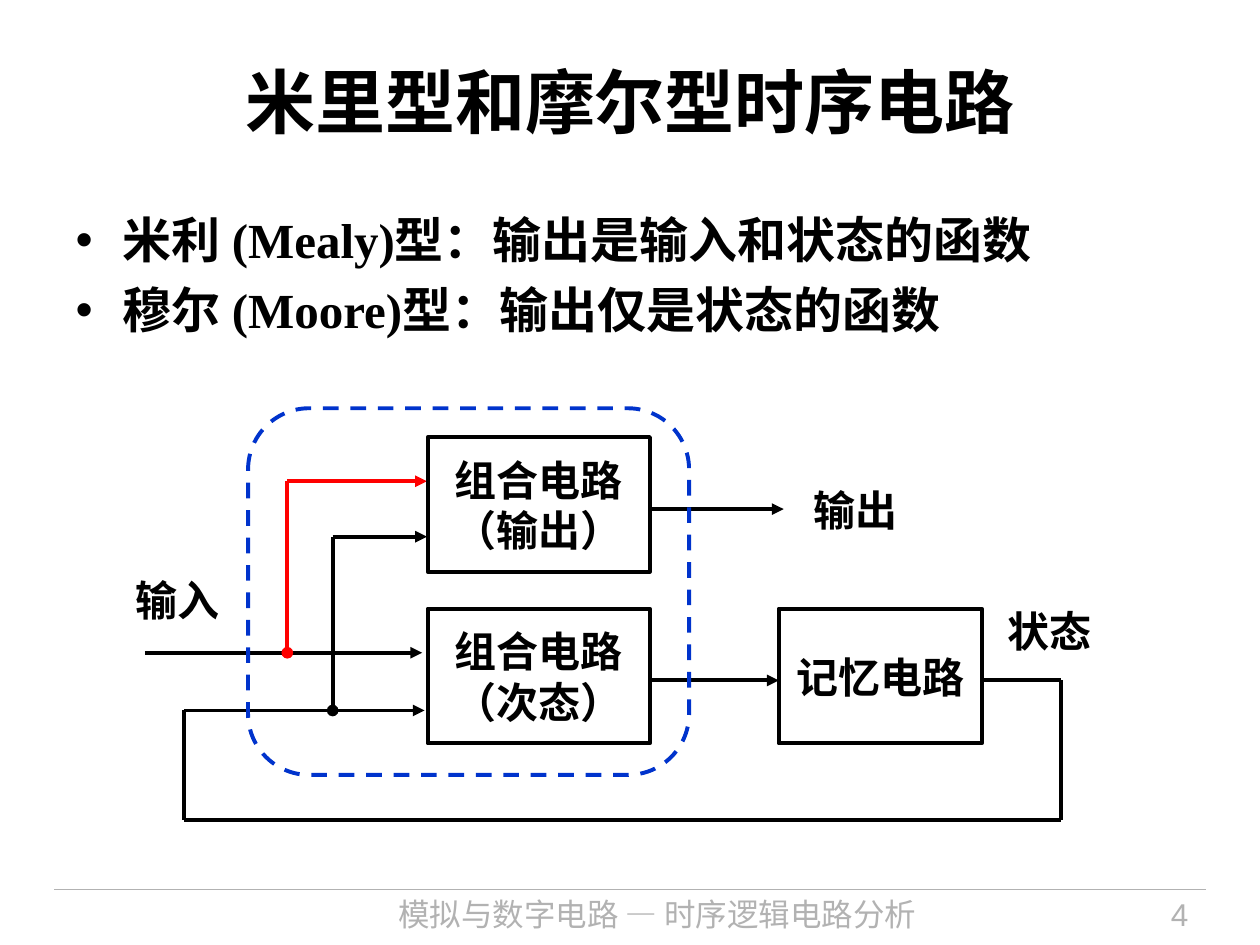
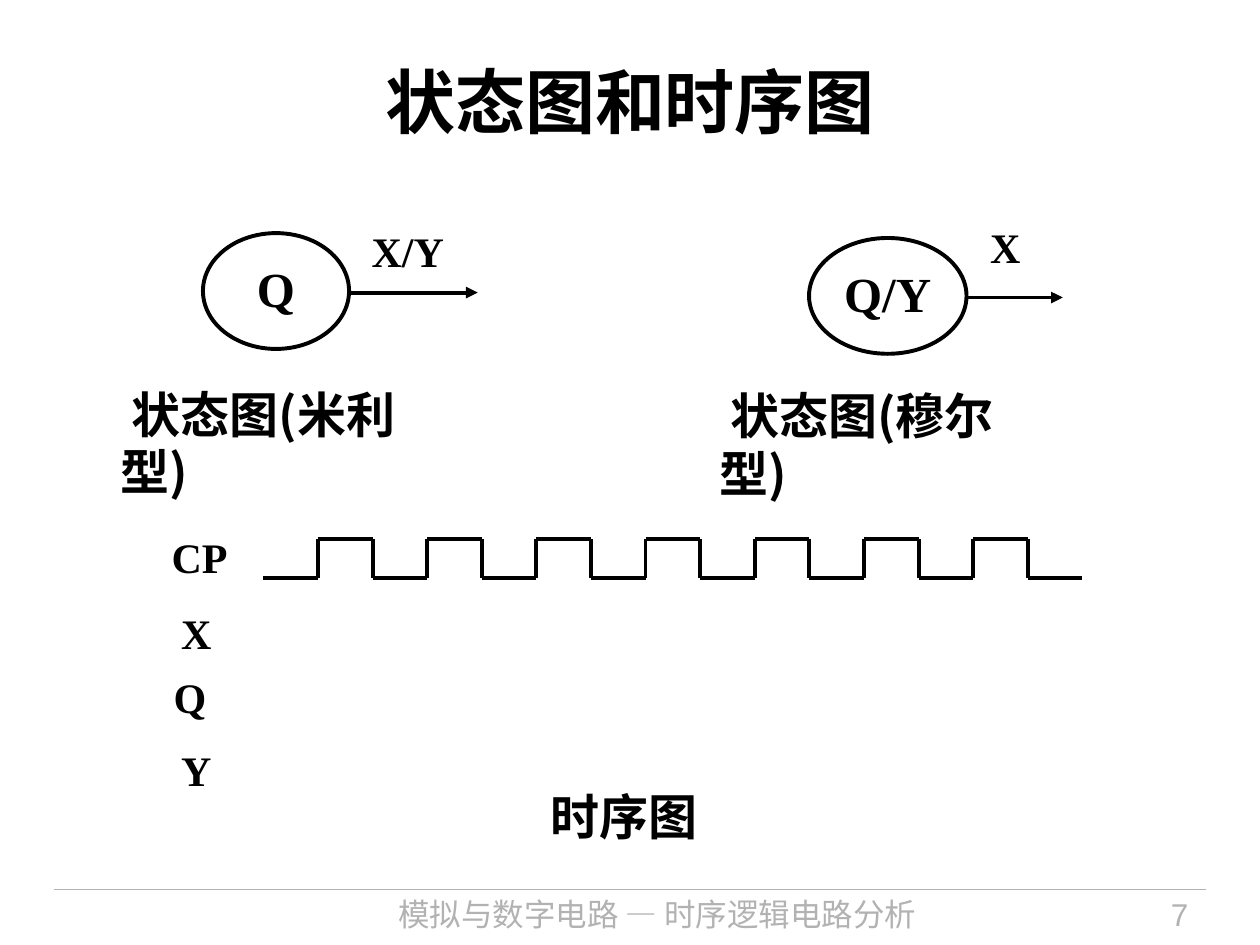
from collections import namedtuple

from lxml.etree import SubElement
from pptx import Presentation
from pptx.dml.color import RGBColor
from pptx.enum.dml import MSO_LINE
from pptx.enum.shapes import MSO_CONNECTOR, MSO_SHAPE
from pptx.enum.text import MSO_ANCHOR, MSO_AUTO_SIZE, PP_ALIGN
from pptx.oxml.ns import qn
from pptx.util import Pt

COLORS = {"ink": "000000", "paper": "FFFFFF", "muted": "B2B2B2", "mealy": "FF0000", "frame": "0033CC"}
SERIF, SANS, CJK = "Times New Roman", "Arial", "Noto Sans CJK SC"
STROKE = 2.24
Box = namedtuple("Box", "left top width height")


def color(name):
    """Return the named palette colour."""
    return RGBColor.from_string(COLORS[name])


def place(shape, box):
    """Move and size a shape to a box in points."""
    shape.left, shape.top, shape.width, shape.height = (Pt(value) for value in box)


def within(box, left, top, width, height):
    """Return a box offset from the corner of another box."""
    return Box(box.left + left, box.top + top, width, height)


def write(frame, text, size=24, font=SERIF, ink="ink", bold=True, align=PP_ALIGN.LEFT,
          anchor=MSO_ANCHOR.TOP, wrap=False, insets=(7.2, 3.6, 7.2, 3.6), after=0):
    """Fill a text frame; each line is a string or a list of (text, font) spans."""
    frame.auto_size = MSO_AUTO_SIZE.NONE
    frame.word_wrap = wrap
    frame.vertical_anchor = anchor
    frame.margin_left, frame.margin_top, frame.margin_right, frame.margin_bottom = map(Pt, insets)
    lines = [text] if isinstance(text, str) else text
    for index, line in enumerate(lines):
        para = frame.add_paragraph() if index else frame.paragraphs[0]
        para.alignment = align
        para.line_spacing = Pt(round(size * 1.19))
        para.space_before, para.space_after = Pt(0), Pt(after)
        for words, face in [(line, font)] if isinstance(line, str) else line:
            span = para.add_run()
            span.text = words
            span.font.size, span.font.bold = Pt(size), bold
            span.font.color.rgb = color(ink)
            span.font.name = face
            SubElement(span._r.get_or_add_rPr(), qn("a:ea"), typeface=CJK)


def add_label(page, box, text, **style):
    """Add a text box."""
    label = page.shapes.add_textbox(*(Pt(value) for value in box))
    write(label.text_frame, text, **style)


def add_outline(page, kind, box, fill=None, ink="ink"):
    """Add an outlined shape, hollow unless a fill is named."""
    shape = page.shapes.add_shape(kind, *(Pt(value) for value in box))
    shape.shadow.inherit = False
    if fill:
        shape.fill.solid()
        shape.fill.fore_color.rgb = color(fill)
    else:
        shape.fill.background()
    shape.line.color.rgb = color(ink)
    shape.line.width = Pt(STROKE)
    return shape


def add_block(page, box, lines, fill=None):
    """Add a circuit block with centred text."""
    block = add_outline(page, MSO_SHAPE.RECTANGLE, box, fill)
    write(block.text_frame, lines, font=SANS, align=PP_ALIGN.CENTER,
          anchor=MSO_ANCHOR.MIDDLE, insets=(0, 0, 0, 0))


def add_wire(page, box, start, finish, end=None, ink="ink", width=STROKE):
    """Draw a line between two points relative to a box."""
    (x1, y1), (x2, y2) = start, finish
    wire = page.shapes.add_connector(
        MSO_CONNECTOR.STRAIGHT, Pt(box.left + x1), Pt(box.top + y1), Pt(box.left + x2), Pt(box.top + y2))
    wire.line.color.rgb = color(ink)
    wire.line.width = Pt(width)
    properties = wire._element.spPr
    SubElement(properties, qn("a:effectLst"))
    if end:
        SubElement(properties.find(qn("a:ln")), qn("a:tailEnd"), type=end)


def add_footer(page, box, number):
    """Draw the footer rule, course name and page number."""
    add_wire(page, box, (0, 0), (box.width, 0), ink="muted", width=0.74)
    style = dict(size=18, ink="muted", bold=False, wrap=True)
    add_label(page, within(box, 141.8, 0, 405.4, box.height), "模拟与数字电路 — 时序逻辑电路分析",
              font=CJK, align=PP_ALIGN.CENTER, **style)
    add_label(page, within(box, 559.4, 0, 95.8, box.height), str(number),
              font=SANS, align=PP_ALIGN.RIGHT, **style)


def add_page(deck, layout, title, number):
    """Add a slide with its title and footer."""
    page = deck.slides.add_slide(deck.slide_layouts[layout])
    place(page.shapes.title, Box(36, 12.2, 648, 90))
    write(page.shapes.title.text_frame, title, size=40, align=PP_ALIGN.CENTER,
          anchor=MSO_ANCHOR.MIDDLE, wrap=True)
    add_footer(page, Box(31, 508.3, 658, 31.7), number)
    return page


def fill_list(page, box, lines):
    """Fill the body placeholder with a bulleted list."""
    body = page.placeholders[1]
    place(body, box)
    write(body.text_frame, lines, size=28, wrap=True, after=7, insets=(7.2, 6, 7.2, 3.6))
    for para in body.text_frame.paragraphs:
        props = para._p.get_or_add_pPr()
        props.set("marL", str(Pt(27)))
        props.set("indent", str(-Pt(27)))
        bullet_color = SubElement(props, qn("a:buClr"))
        SubElement(bullet_color, qn("a:srgbClr"), val=COLORS["ink"])
        SubElement(props, qn("a:buFont"), typeface=SANS)
        SubElement(props, qn("a:buChar"), char="•")


def draw_circuit(page, box):
    """Draw the block diagram of a sequential circuit with feedback."""
    input_y, state_y, memory_y, bottom = 140, 173, 155.8, 235.7
    mealy_x, moore_x, left, right = 96.2, 122.1, 37.1, 538.2
    mealy_y, moore_y, output_y, entry = 42, 73.7, 57.9, 176
    wires = [
        ((14.8, input_y), (173.2, input_y), "triangle", "ink"),
        ((left, state_y), (174.6, state_y), "triangle", "ink"),
        ((moore_x, moore_y), (entry, moore_y), "triangle", "ink"),
        ((moore_x, moore_y), (moore_x, state_y), "oval", "ink"),
        ((mealy_x, mealy_y), (entry, mealy_y), "triangle", "mealy"),
        ((mealy_x, mealy_y), (mealy_x, input_y), "oval", "mealy"),
        ((300.6, memory_y), (377, memory_y), "triangle", "ink"),
        ((493, memory_y), (right, memory_y), None, "ink"),
        ((right, memory_y), (right, bottom), None, "ink"),
        ((left, bottom), (right, bottom), None, "ink"),
        ((300.6, output_y), (379.8, output_y), "triangle", "ink"),
        ((left, state_y), (left, bottom), None, "ink"),
    ]
    add_block(page, within(box, 377, 114.8, 116, 77), "记忆电路")
    for start, finish, end, ink in wires:
        add_wire(page, box, start, finish, end, ink)
    for text, left, top in (("输出", 385.6, 39.9), ("状态", 496.5, 109), ("输入", -1.7, 91.7)):
        add_label(page, within(box, left, top, 70.6, 36), text, align=PP_ALIGN.CENTER, wrap=True)
    frame = add_outline(page, MSO_SHAPE.ROUNDED_RECTANGLE, within(box, 73.8, 0.3, 252, 209.5), ink="frame")
    frame.line.dash_style = MSO_LINE.DASH
    for role, top in (("（输出）", 16.8), ("（次态）", 114.8)):
        add_block(page, within(box, 176.4, top, 127, 77), ["组合电路", role], "paper")


def draw_state(page, box, state, event, model, oval, event_box, reach):
    """Draw one state with its outgoing arrow and a caption below."""
    left, width, name_width = oval
    add_label(page, within(box, left + (width - name_width) / 2, 11.5, name_width, 41), state, size=28)
    add_outline(page, MSO_SHAPE.OVAL, within(box, left, 0, width, 66.2))
    add_wire(page, box, (left + width, 34), (left + width + reach, 34), "triangle")
    add_label(page, within(box, *event_box), event)
    caption = [[(" 状态图", SANS), ("(", CJK), (model, SANS), (")", CJK)]]
    add_label(page, within(box, 0, box.height - 41, box.width, 41), caption,
              size=28, wrap=True, insets=(7.2, 5, 32, 3.6))


def draw_timing(page, box):
    """Draw the clock wave, the signal names and the caption."""
    steps, high, low, wave_left = 15, 8, 30.3, 65.5
    step = (box.width - wave_left) / steps
    for index in range(steps):
        start = wave_left + index * step
        level = high if index % 2 else low
        add_wire(page, box, (start, level), (start + step, level))
        if index:
            add_wire(page, box, (start, high), (start, low))
    for text, left, top, width in ((" CP", 0, 0, 52.6), ("X", 11.5, 43.2, 31.7),
                                   ("Q", 7.2, 80, 33.1), ("Y", 11.5, 121.7, 31.7)):
        add_label(page, within(box, left, top, width, 36), text)
    add_label(page, within(box, 216.7, 146.2, 103.7, 41), " 时序图", size=28, font=SANS,
              align=PP_ALIGN.CENTER)


def build():
    """Build and save the deck."""
    deck = Presentation()
    deck.slide_width, deck.slide_height = Pt(720), Pt(540)

    page = add_page(deck, 1, "米里型和摩尔型时序电路", 4)
    fill_list(page, Box(36, 114.5, 648, 101.5),
              ["米利 (Mealy)型：输出是输入和状态的函数", "穆尔 (Moore)型：输出仅是状态的函数"])
    draw_circuit(page, Box(68, 233, 567, 236))

    page = add_page(deck, 5, "状态图和时序图", 7)
    draw_state(page, Box(62, 133.2, 227, 123), "Q", "X/Y", "米利型",
               (54, 83.5, 36), (143.3, -7.9, 55.4, 36), 73.5)
    draw_state(page, Box(404, 136, 227.5, 121), "Q/Y", "X", "穆尔型",
               (58.3, 90, 64), (154.8, -13, 31.7, 36), 55)
    draw_timing(page, Box(85, 300.2, 533.5, 187.2))
    deck.save("out.pptx")


build()
